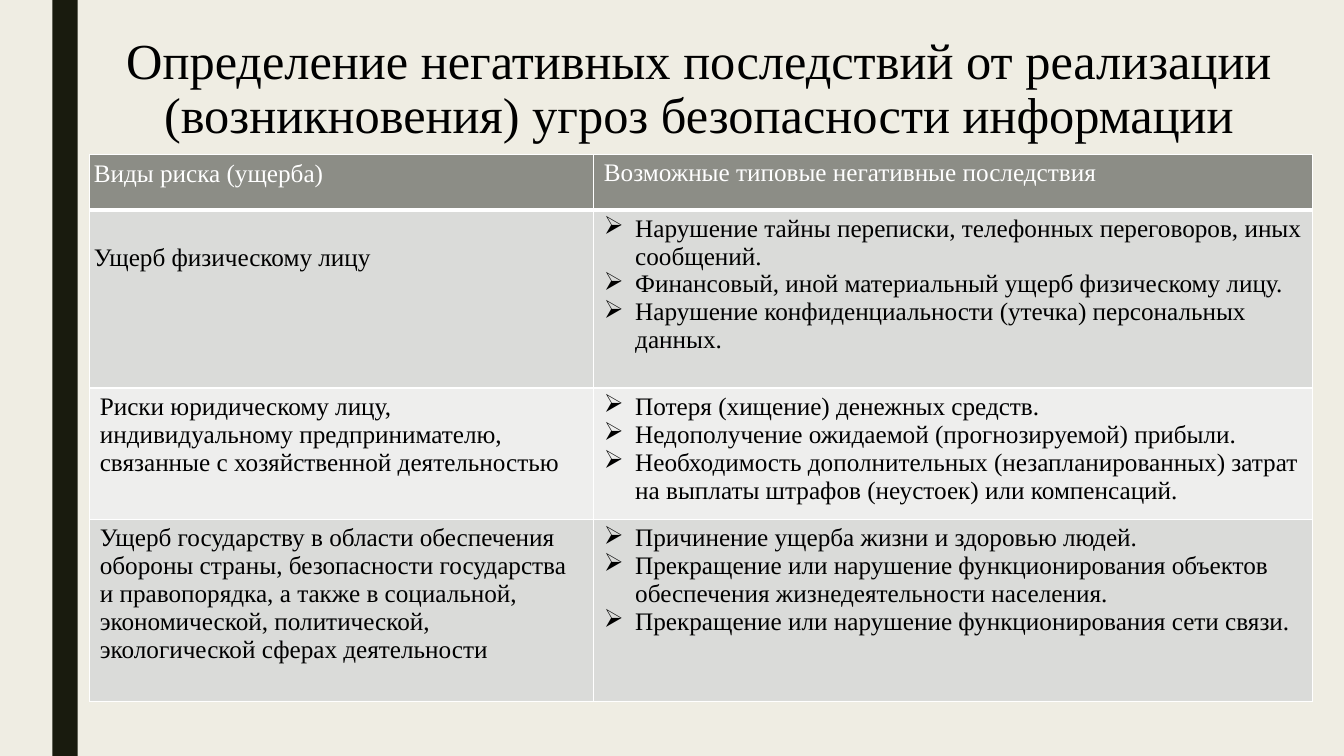
"""Build a slide with a table of information security risks and their consequences."""
from lxml import etree
from pptx import Presentation
from pptx.dml.color import RGBColor
from pptx.enum.shapes import MSO_SHAPE
from pptx.enum.text import MSO_ANCHOR, PP_ALIGN
from pptx.oxml.ns import qn
from pptx.util import Inches, Pt

TITLE = ("Определение негативных последствий от реализации "
         "(возникновения) угроз безопасности информации")
HEADER = ("Виды риска (ущерба)", "Возможные типовые негативные последствия")
RISKS = [
    ("Ущерб физическому лицу",
     ["Нарушение тайны переписки, телефонных переговоров, иных сообщений.",
      "Финансовый, иной материальный ущерб физическому лицу.",
      "Нарушение конфиденциальности (утечка) персональных данных."]),
    ("Риски юридическому лицу, индивидуальному предпринимателю, "
     "связанные с хозяйственной деятельностью",
     ["Потеря (хищение) денежных средств.",
      "Недополучение ожидаемой (прогнозируемой) прибыли.",
      "Необходимость дополнительных (незапланированных) затрат на выплаты "
      "штрафов (неустоек) или компенсаций."]),
    ("Ущерб государству в области обеспечения обороны страны, безопасности "
     "государства и правопорядка, а также в социальной, экономической, "
     "политической, экологической сферах деятельности",
     ["Причинение ущерба жизни и здоровью людей.",
      "Прекращение или нарушение функционирования объектов обеспечения "
      "жизнедеятельности населения.",
      "Прекращение или нарушение функционирования сети связи."]),
]
COL_WIDTHS = (5, 7.13)
ROW_HEIGHTS = (0.55, 1.77, 1.24, 1.81)
NARROW_MARGINS = {0: (0.04, 0.06), 1: (0.04, 0.34)}

FONT = "Times New Roman"
BACKGROUND = RGBColor(0xEF, 0xED, 0xE3)
STRIPE = RGBColor(0x19, 0x1B, 0x0E)
HEAD_FILL = RGBColor(0x8C, 0x8D, 0x86)
BANDS = (RGBColor(0xDA, 0xDB, 0xD9), RGBColor(0xEE, 0xEE, 0xED))
BLACK = RGBColor(0, 0, 0)
WHITE = RGBColor(0xFF, 0xFF, 0xFF)


def write(tf, lines, size=18, color=BLACK, align=PP_ALIGN.LEFT, spacing=None, bullet=None):
    """Fill a text frame with one paragraph per line."""
    tf.word_wrap = True
    for i, line in enumerate(lines):
        p = tf.paragraphs[0] if i == 0 else tf.add_paragraph()
        p.alignment = align
        p.line_spacing = spacing
        r = p.add_run()
        r.text = line
        r.font.name, r.font.size, r.font.color.rgb = FONT, Pt(size), color
        if bullet:
            pPr = p._p.get_or_add_pPr()
            pPr.set("marL", str(Inches(0.31)))
            pPr.set("indent", str(-Inches(0.31)))
            etree.SubElement(pPr, qn("a:buChar"), char=bullet)


def add_borders(cell, **widths):
    """Draw white cell borders, one point wide unless a side is given."""
    tcPr = cell._tc.get_or_add_tcPr()
    for i, side in enumerate(("L", "R", "T", "B")):
        ln = etree.Element(qn(f"a:ln{side}"), w=str(Pt(widths.get(side, 1))))
        fill = etree.SubElement(ln, qn("a:solidFill"))
        etree.SubElement(fill, qn("a:srgbClr"), val=str(WHITE))
        tcPr.insert(i, ln)


prs = Presentation()
prs.slide_width, prs.slide_height = Inches(13.33), Inches(7.5)
s = prs.slides.add_slide(prs.slide_layouts[6])
s.background.fill.solid()
s.background.fill.fore_color.rgb = BACKGROUND

stripe = s.shapes.add_shape(MSO_SHAPE.RECTANGLE, Inches(0.52), 0, Inches(0.25), prs.slide_height)
stripe.shadow.inherit = False
stripe.fill.solid()
stripe.fill.fore_color.rgb = STRIPE
stripe.line.fill.background()

title = s.shapes.add_textbox(Inches(0.7), Inches(0.27), Inches(12.47), Inches(1.26))
title.text_frame.vertical_anchor = MSO_ANCHOR.MIDDLE
write(title.text_frame, [TITLE], size=36, align=PP_ALIGN.CENTER, spacing=0.89)

table = s.shapes.add_table(len(ROW_HEIGHTS), len(COL_WIDTHS), Inches(0.89), Inches(1.53),
                           Inches(sum(COL_WIDTHS)), Inches(sum(ROW_HEIGHTS))).table
for col, width in zip(table.columns, COL_WIDTHS):
    col.width = Inches(width)
for row, height in zip(table.rows, ROW_HEIGHTS):
    row.height = Inches(height)

rows = [(HEADER[0], [HEADER[1]])] + RISKS
for i, (risk, effects) in enumerate(rows):
    head = i == 0
    for j, lines in enumerate(([risk], effects)):
        cell = table.cell(i, j)
        cell.fill.solid()
        cell.fill.fore_color.rgb = HEAD_FILL if head else BANDS[(i - 1) % 2]
        add_borders(cell, T=3 if i == 1 else 1, B=3 if head else 1)
        if j == 0 and i in NARROW_MARGINS:
            side, top = NARROW_MARGINS[i]
            cell.margin_left = cell.margin_right = Inches(side)
            cell.margin_top, cell.margin_bottom = Inches(top), Inches(0.06)
        write(cell.text_frame, lines, color=WHITE if head else BLACK,
              bullet="➢" if j and not head else None)

prs.save("out.pptx")
